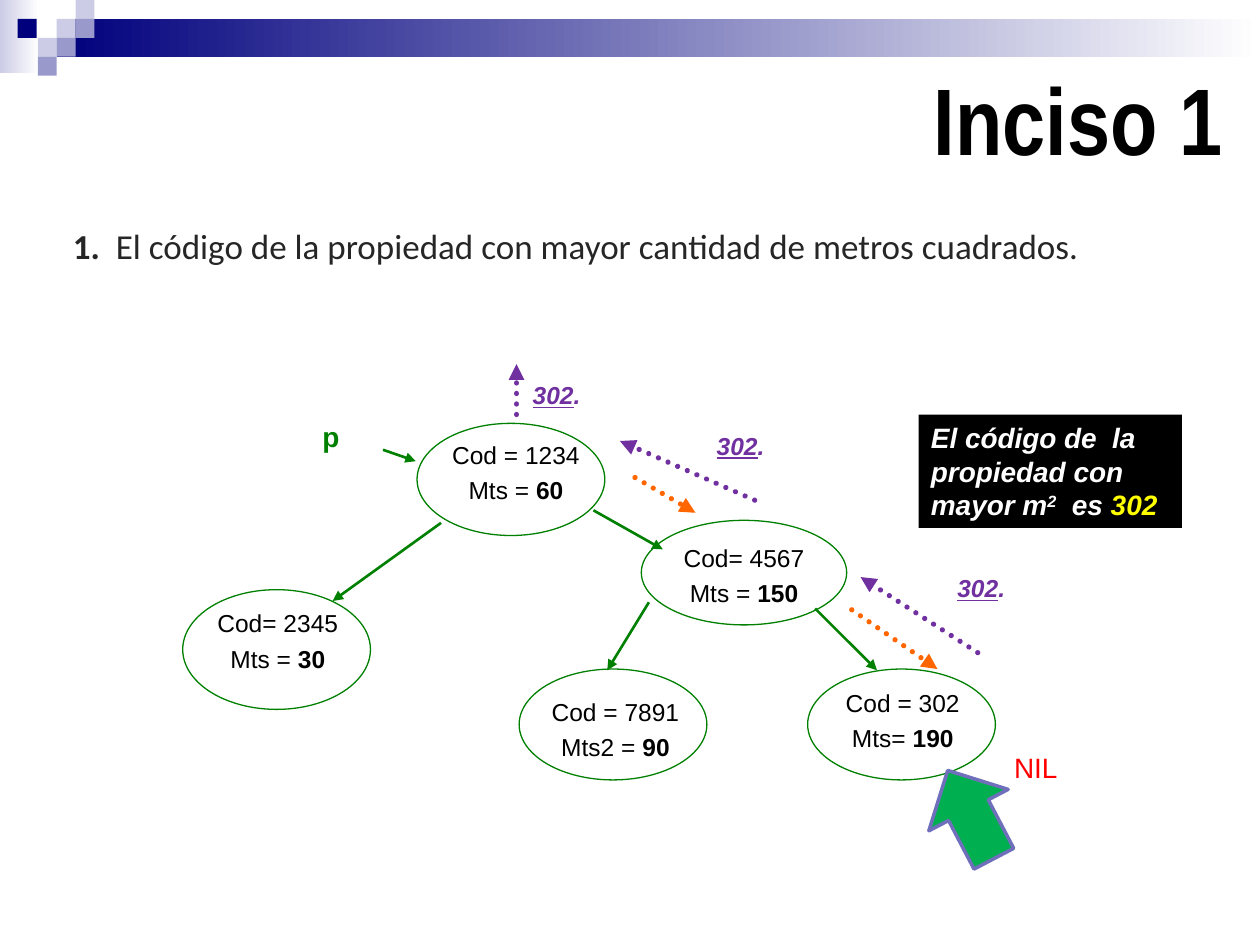
from lxml import etree
from pptx import Presentation
from pptx.dml.color import RGBColor
from pptx.enum.dml import MSO_LINE
from pptx.enum.shapes import MSO_CONNECTOR, MSO_SHAPE
from pptx.enum.text import MSO_ANCHOR, MSO_AUTO_SIZE, PP_ALIGN
from pptx.oxml.ns import qn
from pptx.util import Inches, Pt

RECTANGLE, OVAL, RIGHT_ARROW = MSO_SHAPE.RECTANGLE, MSO_SHAPE.OVAL, MSO_SHAPE.RIGHT_ARROW
STRAIGHT = MSO_CONNECTOR.STRAIGHT
DOTTED = MSO_LINE.ROUND_DOT
MIDDLE, TOP = MSO_ANCHOR.MIDDLE, MSO_ANCHOR.TOP
LEFT, CENTER, RIGHT = PP_ALIGN.LEFT, PP_ALIGN.CENTER, PP_ALIGN.RIGHT
FIT_SHAPE, NO_FIT = MSO_AUTO_SIZE.SHAPE_TO_FIT_TEXT, MSO_AUTO_SIZE.NONE

BLACK = RGBColor(0x00, 0x00, 0x00)
WHITE = RGBColor(0xFF, 0xFF, 0xFF)
CHARCOAL = RGBColor(0x26, 0x26, 0x26)
NAVY = RGBColor(0x00, 0x00, 0x7D)
LAVENDER = RGBColor(0xCC, 0xCC, 0xE6)
PERIWINKLE = RGBColor(0x99, 0x99, 0xCC)
GREEN = RGBColor(0x00, 0x80, 0x00)
BRIGHT_GREEN = RGBColor(0x00, 0xB0, 0x50)
OUTLINE_BLUE = RGBColor(0x6F, 0x6F, 0xBC)
ORANGE = RGBColor(0xFF, 0x66, 0x00)
PURPLE = RGBColor(0x70, 0x30, 0xA0)
RED = RGBColor(0xFF, 0x00, 0x00)
YELLOW = RGBColor(0xFF, 0xFF, 0x00)

TILE = 0.15
# left, top, colour
TILES = [
    (0.45, 0.15, LAVENDER), (0.6, 0, LAVENDER), (0.6, 0.15, PERIWINKLE),
    (0.3, 0.3, LAVENDER), (0.14, 0.15, NAVY), (0.45, 0.3, PERIWINKLE),
    (0.3, 0.45, PERIWINKLE),
]
# ellipse box, label box, code line, metres caption, metres
NODES = [
    ((3.31, 3.36, 1.49, 0.89), (3.34, 3.44, 1.51, 0.56), "Cod = 1234", "Mts = ", "60"),
    ((5.09, 4.13, 1.63, 0.83), (5.16, 4.26, 1.49, 0.48), "Cod= 4567", "Mts = ", "150"),
    ((6.41, 5.31, 1.49, 0.88), (6.41, 5.41, 1.51, 0.54), "Cod = 302", "Mts= ", "190"),
    ((4.12, 5.31, 1.49, 0.88), (4.13, 5.48, 1.51, 0.55), "Cod = 7891", "Mts2 = ", "90"),
    ((1.45, 4.68, 1.49, 0.95), (1.38, 4.78, 1.65, 0.64), "Cod= 2345", "Mts = ", "30"),
]
# start, end
BRANCHES = [
    ((3.04, 3.57), (3.3, 3.66)), ((4.71, 4.05), (5.26, 4.36)),
    ((5.15, 4.78), (4.82, 5.32)), ((6.47, 4.83), (6.96, 5.32)),
    ((3.5, 4.15), (2.64, 4.77)),
]
CALLS = [((5.04, 3.79), (5.52, 4.07)), ((6.76, 4.84), (7.44, 5.31))]
# arrow start, arrow end, position of the returned value
RETURNS = [
    ((7.76, 5.18), (6.83, 4.58), (7.5, 4.5)),
    ((5.99, 3.97), (4.92, 3.5), (5.59, 3.37)),
    ((4.1, 3.29), (4.1, 2.89), (4.13, 2.97)),
]


def add_figure(slide, kind, box, fill=None, gradient=None, line=None, width=0.75):
    """Add a preset shape; gradient is a pair of colours from left to right."""
    figure = slide.shapes.add_shape(kind, *map(Inches, box))
    figure.shadow.inherit = False
    if gradient:
        figure.fill.gradient()
        figure.fill.gradient_angle = 0
        for stop, color in zip(figure.fill.gradient_stops, gradient):
            stop.color.rgb = color
    elif fill is not None:
        figure.fill.solid()
        figure.fill.fore_color.rgb = fill
    else:
        figure.fill.background()
    if line is not None:
        figure.line.color.rgb = line
        figure.line.width = Pt(width)
    else:
        figure.line.fill.background()
    return figure


def add_text(slide, box, paragraphs, size=14, font="Arial", color=BLACK, bold=False,
             italic=False, align=LEFT, anchor=TOP, wrap=True, fit=NO_FIT,
             space_before=0, line_spacing=None, fill=None):
    """Each paragraph is a list of (text, overrides) runs."""
    text_box = slide.shapes.add_textbox(*map(Inches, box))
    if fill is not None:
        text_box.fill.solid()
        text_box.fill.fore_color.rgb = fill
    frame = text_box.text_frame
    frame.word_wrap, frame.auto_size, frame.vertical_anchor = wrap, fit, anchor
    for index, runs in enumerate(paragraphs):
        paragraph = frame.add_paragraph() if index else frame.paragraphs[0]
        paragraph.alignment = align
        if index:
            paragraph.space_before = Pt(space_before)
        if line_spacing:
            paragraph.line_spacing = line_spacing
        for text, overrides in runs:
            run = paragraph.add_run()
            run.text = text
            run.font.size, run.font.name = Pt(size), font
            run.font.bold = overrides.get("bold", bold)
            run.font.italic = italic
            run.font.underline = overrides.get("underline", False)
            run.font.color.rgb = overrides.get("color", color)
            if overrides.get("superscript"):
                run._r.get_or_add_rPr().set("baseline", "30000")


def add_arrow(slide, start, end, color, width, dash=None):
    arrow = slide.shapes.add_connector(STRAIGHT, *map(Inches, start + end))
    arrow.line.color.rgb = color
    arrow.line.width = Pt(width)
    outline = arrow.line._get_or_add_ln()
    if dash:
        arrow.line.dash_style = dash
        outline.set("cap", "rnd")
    etree.SubElement(outline, qn("a:tailEnd"), type="triangle")
    etree.SubElement(arrow._element.spPr, qn("a:effectLst"))


def add_banner(slide):
    add_figure(slide, RECTANGLE, (0, 0, 0.31, 0.58), gradient=(LAVENDER, WHITE))
    add_figure(slide, RECTANGLE, (0.45, 0.15, 9.55, 0.3), gradient=(NAVY, WHITE))
    for left, top, color in TILES:
        add_figure(slide, RECTANGLE, (left, top, TILE, TILE), fill=color)


def add_tree(slide):
    for ellipse, label, code, caption, metres in NODES:
        add_figure(slide, OVAL, ellipse, line=GREEN)
        add_text(slide, label, [[(code, {})], [(caption, {}), (metres, {"bold": True})]],
                 align=CENTER, space_before=3.5)
    for start, end in BRANCHES:
        add_arrow(slide, start, end, GREEN, 1.5)
    add_text(slide, (2.46, 3.28, 0.33, 0.37), [[("p", {})]], size=16, color=GREEN,
             bold=True, wrap=False, fit=FIT_SHAPE)
    add_text(slide, (7.95, 5.91, 0.55, 0.37), [[("NIL", {})]], size=16, color=RED,
             fit=FIT_SHAPE)


def add_traversal(slide):
    for start, end in CALLS:
        add_arrow(slide, start, end, ORANGE, 3, DOTTED)
    for start, end, value_at in RETURNS:
        add_arrow(slide, start, end, PURPLE, 3, DOTTED)
        add_text(slide, value_at + (0.8, 0.34), [[("302", {"underline": True}), (".", {})]],
                 color=PURPLE, bold=True, italic=True, fit=FIT_SHAPE)


def main():
    prs = Presentation()
    prs.slide_width, prs.slide_height = Inches(10), Inches(7.5)
    slide = prs.slides.add_slide(prs.slide_layouts[6])

    add_banner(slide)
    add_text(slide, (0.44, 0.45, 9.36, 0.97), [[("Inciso 1", {})]], size=54,
             font="Arial Narrow", bold=True, align=RIGHT, anchor=MIDDLE)
    add_tree(slide)
    add_traversal(slide)
    answer = [("El código de  la propiedad con mayor m", {}), ("2", {"superscript": True}),
              ("  es ", {}), ("302", {"color": YELLOW})]
    add_text(slide, (7.29, 3.29, 2.09, 0.9), [answer], size=16, color=WHITE, bold=True,
             italic=True, fit=FIT_SHAPE, fill=BLACK)
    pointer = add_figure(slide, RIGHT_ARROW, (7.31, 6.11, 0.79, 0.71), fill=BRIGHT_GREEN,
                         line=OUTLINE_BLUE, width=2)
    pointer.rotation = 242.4
    statement = [("1.", {"bold": True}),
                 ("  El código de la propiedad con mayor cantidad de metros cuadrados.", {})]
    add_text(slide, (0.48, 1.7, 9.37, 0.47), [statement], size=20, font="Calibri",
             color=CHARCOAL, line_spacing=1.1, fit=FIT_SHAPE)

    prs.save("out.pptx")


if __name__ == "__main__":
    main()
